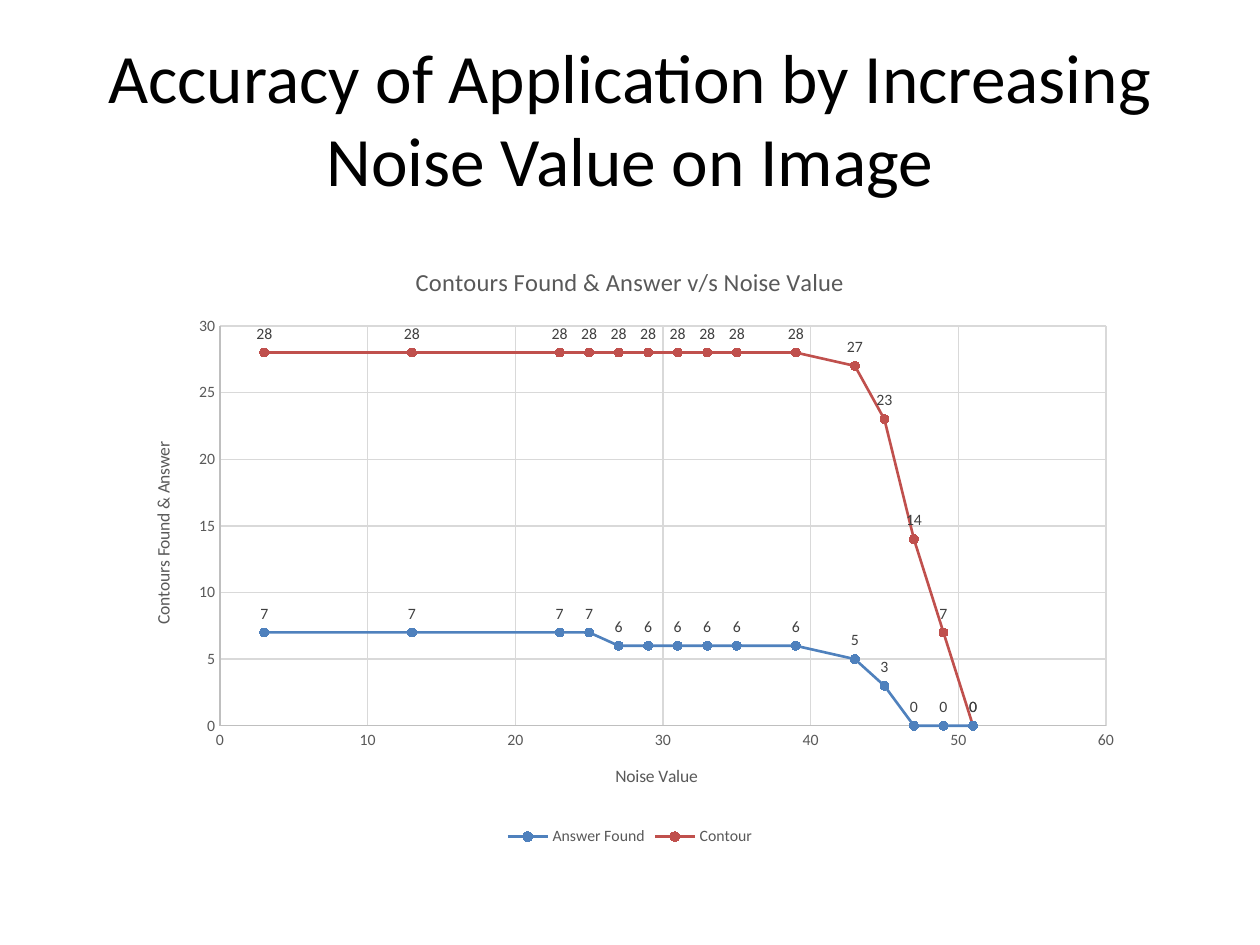
from lxml import etree
from pptx import Presentation
from pptx.chart.data import XyChartData
from pptx.chart.datalabel import DataLabels
from pptx.dml.color import RGBColor
from pptx.enum.chart import (XL_CHART_TYPE, XL_LABEL_POSITION, XL_LEGEND_POSITION,
                             XL_MARKER_STYLE, XL_TICK_MARK)
from pptx.enum.text import MSO_ANCHOR, PP_ALIGN
from pptx.oxml.ns import qn
from pptx.util import Emu, Pt

SMOOTH = XL_CHART_TYPE.XY_SCATTER_SMOOTH
ABOVE = XL_LABEL_POSITION.ABOVE
BOTTOM = XL_LEGEND_POSITION.BOTTOM
CIRCLE = XL_MARKER_STYLE.CIRCLE
NO_TICK = XL_TICK_MARK.NONE
MIDDLE = MSO_ANCHOR.MIDDLE
CENTER = PP_ALIGN.CENTER

PX = 914400 // 126
COLORS = {"ink": "000000", "gray": "595959", "label": "404040", "axis": "BFBFBF",
          "grid": "D9D9D9", "blue": "4F81BD", "red": "C0504D"}

NOISE = [3, 13, *range(23, 36, 2), 39, *range(43, 52, 2)]
SERIES = [("Answer Found", "blue", [7] * 4 + [6] * 6 + [5, 3, 0, 0, 0]),
          ("Contour", "red", [28] * 10 + [27, 23, 14, 7, 0])]


class Deck:
    face = "Calibri"

    def __init__(self, wide, high):
        self.prs = Presentation()
        self.prs.slide_width, self.prs.slide_height = Emu(wide * PX), Emu(high * PX)
        self.slide = self.prs.slides.add_slide(self.prs.slide_layouts[6])

    def color(self, name):
        return RGBColor.from_string(COLORS[name])

    def font(self, font, size, color):
        font.name, font.size, font.bold = self.face, Pt(size), False
        font.color.rgb = self.color(color)

    def line(self, line, color, width):
        line.color.rgb = self.color(color)
        line.width = Pt(width)

    def label(self, frame, text, size, color):
        para = frame.paragraphs[0]
        para.alignment = CENTER
        run = para.add_run()
        run.text = text
        self.font(run.font, size, color)

    def text(self, box, text, size, color):
        frame = self.slide.shapes.add_textbox(*(Emu(n * PX) for n in box)).text_frame
        frame.word_wrap = True
        frame.vertical_anchor = MIDDLE
        self.label(frame, text, size, color)

    def axis(self, axis, title, top, step):
        axis.minimum_scale, axis.maximum_scale, axis.major_unit = 0, top, step
        axis.major_tick_mark = axis.minor_tick_mark = NO_TICK
        axis.has_major_gridlines = True
        self.line(axis.major_gridlines.format.line, "grid", 0.75)
        self.line(axis.format.line, "axis", 0.75)
        self.font(axis.tick_labels.font, 9, "gray")
        self.label(axis.axis_title.text_frame, title, 10, "gray")

    def style(self, series, color):
        series.smooth = True
        self.line(series.format.line, color, 1.5)
        mark = series.marker
        mark.style, mark.size = CIRCLE, 5
        mark.format.fill.solid()
        mark.format.fill.fore_color.rgb = self.color(color)
        self.line(mark.format.line, color, 0.75)
        labels = DataLabels(series._element.get_or_add_dLbls())
        labels.show_value, labels.position = True, ABOVE
        self.font(labels.font, 9, "label")

    def place(self, chart, box, plot):
        """Fix the inner plot area, given in slide px."""
        area = chart._chartSpace.chart.plotArea
        for old in area.findall(qn("c:layout")):
            area.remove(old)
        layout = etree.Element(qn("c:layout"))
        area.insert(0, layout)
        manual = etree.SubElement(layout, qn("c:manualLayout"))
        left, top, wide, high = box
        x, y, w, h = plot
        parts = [("layoutTarget", "inner"), ("xMode", "edge"), ("yMode", "edge"),
                 ("x", (x - left) / wide), ("y", (y - top) / high),
                 ("w", w / wide), ("h", h / high)]
        for tag, val in parts:
            etree.SubElement(manual, qn("c:" + tag)).set("val", str(val))

    def scatter(self, box, plot, title, xs, rows):
        data = XyChartData()
        for name, _, ys in rows:
            series = data.add_series(name)
            for x, y in zip(xs, ys):
                series.add_data_point(x, y)
        spot = (Emu(n * PX) for n in box)
        chart = self.slide.shapes.add_chart(SMOOTH, *spot, data).chart
        self.font(chart.font, 10, "ink")
        chart.plots[0].vary_by_categories = False
        for series, (_, color, _) in zip(chart.plots[0].series, rows):
            self.style(series, color)
        self.label(chart.chart_title.text_frame, title, 14, "gray")
        chart.chart_title.include_in_layout = False
        chart.has_legend = True
        chart.legend.position = BOTTOM
        chart.legend.include_in_layout = False
        self.font(chart.legend.font, 9, "gray")
        self.place(chart, box, plot)
        return chart


def main():
    deck = Deck(1260, 945)

    # Heading
    deck.text((63, 38, 1134, 158),
              "Accuracy of Application by Increasing Noise Value on Image", 39.6, "ink")

    # Noise chart
    chart = deck.scatter((126, 242, 1008, 609), (220, 326, 886, 400),
                         "Contours Found & Answer v/s Noise Value", NOISE, SERIES)
    deck.axis(chart.category_axis, "Noise Value", 60, 10)
    deck.axis(chart.value_axis, "Contours Found & Answer", 30, 5)
    body = chart.value_axis.axis_title.text_frame._txBody.bodyPr
    body.set("rot", "-5400000")
    body.set("vert", "horz")

    deck.prs.save("out.pptx")


if __name__ == "__main__":
    main()
